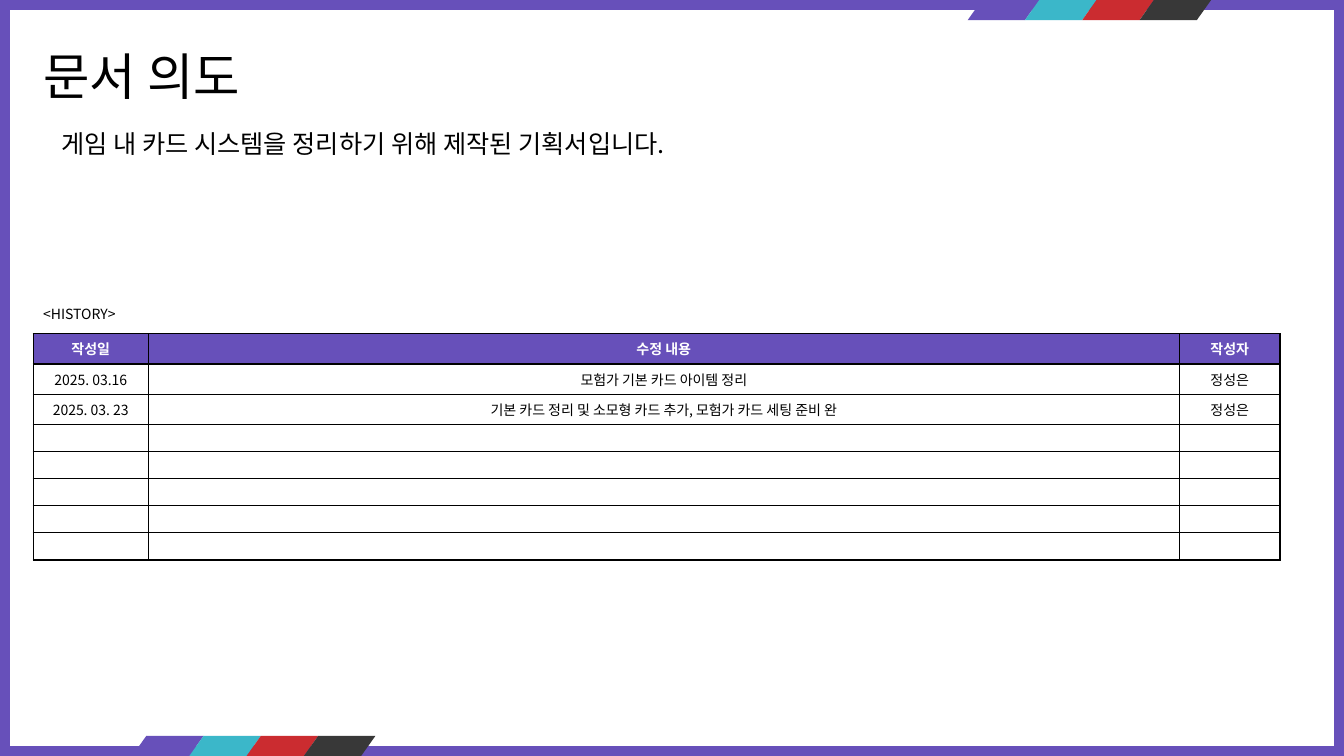
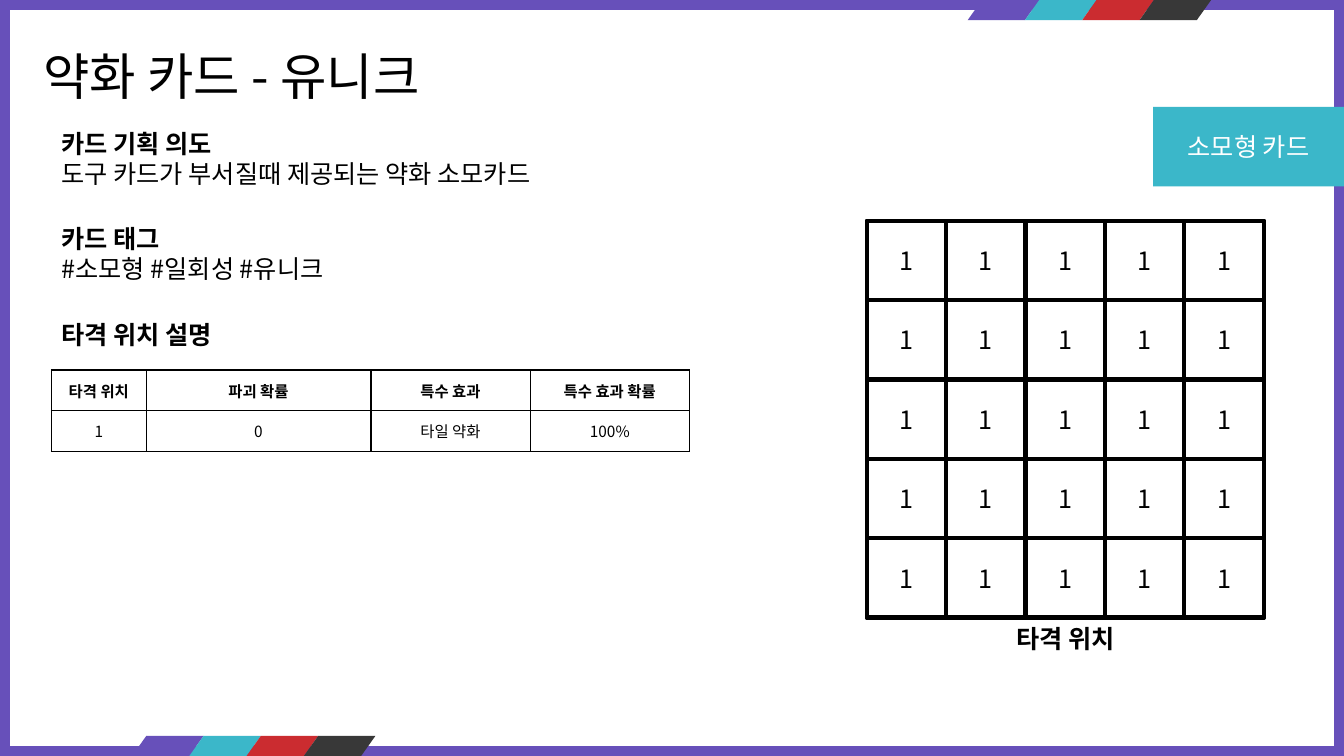
from itertools import accumulate, product

from lxml.etree import SubElement
from pptx import Presentation
from pptx.dml.color import RGBColor
from pptx.enum.shapes import MSO_SHAPE
from pptx.enum.text import MSO_ANCHOR, MSO_AUTO_SIZE, PP_ALIGN
from pptx.oxml.ns import qn
from pptx.util import Inches, Pt

COLOURS = {
    "purple": "6750BA",
    "teal": "3BB7C9",
    "red": "CB2C30",
    "charcoal": "383838",
    "white": "FFFFFF",
    "black": "000000",
}
STRIPES = ("purple", "teal", "red", "charcoal")
FONT = "Noto Sans CJK KR"
GRID_COLUMNS, GRID_ROWS = 160, 90
LEFT, CENTER = PP_ALIGN.LEFT, PP_ALIGN.CENTER

TEXT_FORMATS = {
    "title": {"size": Pt(36), "bold": False},
    "heading": {"size": Pt(18), "bold": True},
    "body": {"size": Pt(18), "bold": False},
    "caption": {"size": Pt(10), "bold": False},
    "history_head": {"size": Pt(10), "bold": True},
    "effect_head": {"size": Pt(11), "bold": True},
    "effect": {"size": Pt(11), "bold": False},
}
FRAME_FORMAT = {"word_wrap": True, "auto_size": MSO_AUTO_SIZE.NONE}
NO_MARGINS = {
    "margin_left": 0,
    "margin_right": 0,
    "margin_top": 0,
    "margin_bottom": 0,
    "vertical_anchor": MSO_ANCHOR.MIDDLE,
}


def apply_format(target, values):
    for name, value in values.items():
        setattr(target, name, value)


def colour(name):
    return RGBColor.from_string(COLOURS[name])


class Deck:
    """Holds the shared style and the current slide, measured on a 160 by 90 grid."""

    def __init__(self):
        self.presentation = Presentation()
        self.presentation.slide_width = Inches(13.33)
        self.presentation.slide_height = Inches(7.5)
        self.slide = None

    def across(self, columns):
        return round(self.presentation.slide_width * columns / GRID_COLUMNS)

    def down(self, rows):
        return round(self.presentation.slide_height * rows / GRID_ROWS)

    def box(self, left, top, width, height):
        return self.across(left), self.down(top), self.across(width), self.down(height)

    def start_slide(self, title):
        layout = self.presentation.slide_layouts[1]
        self.slide = self.presentation.slides.add_slide(layout)
        if len(self.presentation.slides) == 1:
            self.decorate_master()
        self.fill_placeholder(
            self.slide.shapes.title, (3.96, 4.8, 77.2, 8.5), [(title, "title")]
        )

    def decorate_master(self):
        master = self.presentation.slide_master
        master.background.fill.solid()
        master.background.fill.fore_color.rgb = colour("purple")
        decorations = [self.block((1.2, 1.2, 157.6, 87.6), "white")]
        for left, top in ((115.2, 0), (15.72, 87.6)):
            for index, name in enumerate(STRIPES):
                place = (left + index * 6.82, top, 8.52, 2.4)
                decorations.append(
                    self.block(place, name, kind=MSO_SHAPE.FLOWCHART_DATA)
                )
        for number, shape in enumerate(decorations, start=100):
            shape._element.nvSpPr.cNvPr.id = number
            master.shapes._spTree.append(shape._element)

    def add_text(self, paragraph, text, style, ink="black", alignment=LEFT):
        values = TEXT_FORMATS[style]
        paragraph.alignment = alignment
        if not text:
            size = str(values["size"].centipoints)
            SubElement(paragraph._p, qn("a:endParaRPr"), sz=size)
            return
        run = paragraph.add_run()
        run.text = text
        apply_format(run.font, {"name": FONT, **values})
        run.font.color.rgb = colour(ink)
        SubElement(run._r.get_or_add_rPr(), qn("a:ea"), typeface=FONT)

    def fill_placeholder(self, shape, place, lines, gap=0):
        names = ("left", "top", "width", "height")
        apply_format(shape, dict(zip(names, self.box(*place))))
        frame = shape.text_frame
        apply_format(frame, {**FRAME_FORMAT, "vertical_anchor": MSO_ANCHOR.TOP})
        for index, (text, style) in enumerate(lines):
            paragraph = frame.paragraphs[0] if index == 0 else frame.add_paragraph()
            self.add_text(paragraph, text, style)
            before = Pt(gap) if index and style == "heading" else Pt(0)
            spacing = {"space_before": before, "space_after": Pt(0), "line_spacing": 1.0}
            apply_format(paragraph, spacing)
            properties = paragraph._p.get_or_add_pPr()
            properties.set("marL", "0")
            properties.set("indent", "0")
            SubElement(properties, qn("a:buNone"))

    def body(self, place, lines, gap=0):
        self.fill_placeholder(self.slide.placeholders[1], place, lines, gap)

    def label(self, place, text, style, alignment=LEFT):
        frame = self.slide.shapes.add_textbox(*self.box(*place)).text_frame
        apply_format(frame, FRAME_FORMAT)
        self.add_text(frame.paragraphs[0], text, style, alignment=alignment)

    def block(self, place, fill, text="", ink="black", line=0, kind=MSO_SHAPE.RECTANGLE):
        shape = self.slide.shapes.add_shape(kind, *self.box(*place))
        shape.shadow.inherit = False
        shape.fill.solid()
        shape.fill.fore_color.rgb = colour(fill)
        if line:
            shape.line.width = Pt(line)
            shape.line.color.rgb = colour("black")
        else:
            shape.line.fill.background()
        if text:
            frame = shape.text_frame
            apply_format(frame, {**FRAME_FORMAT, "vertical_anchor": MSO_ANCHOR.MIDDLE})
            self.add_text(frame.paragraphs[0], text, "body", ink, CENTER)
        return shape

    def table(self, left, top, widths, row_height, rows, head, style, cell_format):
        place = self.box(left, top, sum(widths), row_height * len(rows))
        table = self.slide.shapes.add_table(len(rows), len(widths), *place).table
        edges = [self.across(edge) for edge in accumulate(widths, initial=0)]
        for column, start, end in zip(table.columns, edges, edges[1:]):
            column.width = end - start
        for row in table.rows:
            row.height = self.down(row_height)
        for row_index, texts in enumerate(rows):
            row_style, fill, ink = style if row_index else head
            for column_index, text in enumerate(texts):
                cell = table.cell(row_index, column_index)
                apply_format(cell, cell_format)
                self.outline(cell)
                cell.fill.solid()
                cell.fill.fore_color.rgb = colour(fill)
                paragraph = cell.text_frame.paragraphs[0]
                self.add_text(paragraph, text, row_style, ink, CENTER)

    def outline(self, cell):
        properties = cell._tc.get_or_add_tcPr()
        for side in ("lnL", "lnR", "lnT", "lnB"):
            line = SubElement(properties, qn(f"a:{side}"), w=str(int(Pt(1))))
            fill = SubElement(line, qn("a:solidFill"))
            SubElement(fill, qn("a:srgbClr"), val=COLOURS["black"])

    def board(self, left, top, side, values):
        size = len(values)
        self.block((left, top, side * size, side * size), "white", line=3)
        for row, column in product(range(size), repeat=2):
            place = (left + column * side, top + row * side, side, side)
            self.block(place, "white", values[row][column], line=3)


def add_intent_slide(deck):
    deck.start_slide("문서 의도")
    deck.body(
        (6.12, 14.64, 146.28, 4.8),
        [("게임 내 카드 시스템을 정리하기 위해 제작된 기획서입니다.", "body")],
    )
    deck.label((3.96, 35.76, 12, 3.24), "<HISTORY>", "caption")
    history = [
        ("작성일", "수정 내용", "작성자"),
        ("2025. 03.16", "모험가 기본 카드 아이템 정리", "정성은"),
        (
            "2025. 03. 23",
            "기본 카드 정리 및 소모형 카드 추가, 모험가 카드 세팅 준비 완",
            "정성은",
        ),
    ] + [("", "", "")] * 5
    deck.table(
        3.96, 39.72, (13.68, 122.76, 12), 3.2, history,
        head=("history_head", "purple", "white"),
        style=("caption", "white", "black"),
        cell_format={},
    )


def add_card_slide(deck):
    deck.start_slide("약화 카드 - 유니크")
    deck.body(
        (6.12, 14.64, 94.92, 27.84),
        [
            ("카드 기획 의도", "heading"),
            ("도구 카드가 부서질때 제공되는 약화 소모카드", "body"),
            ("카드 태그", "heading"),
            ("#소모형 #일회성 #유니크", "body"),
            ("타격 위치 설명", "heading"),
        ],
        gap=25,
    )
    effects = [
        ("타격 위치", "파괴 확률", "특수 효과", "특수 효과 확률"),
        ("1", "0", "타일 약화", "100%"),
    ]
    deck.table(
        6.12, 44.04, (11.28, 26.76, 18.96, 18.96), 4.86, effects,
        head=("effect_head", "white", "black"),
        style=("effect", "white", "black"),
        cell_format=NO_MARGINS,
    )
    deck.board(103.2, 26.28, 9.45, [["1"] * 5] * 5)
    deck.label((114.6, 73.56, 24.48, 4.8), "타격 위치", "heading", CENTER)
    deck.block((137.28, 12.72, 22.72, 9.48), "teal", "소모형 카드", "white")


def main():
    deck = Deck()
    add_intent_slide(deck)
    add_card_slide(deck)
    deck.presentation.save("out.pptx")


if __name__ == "__main__":
    main()
